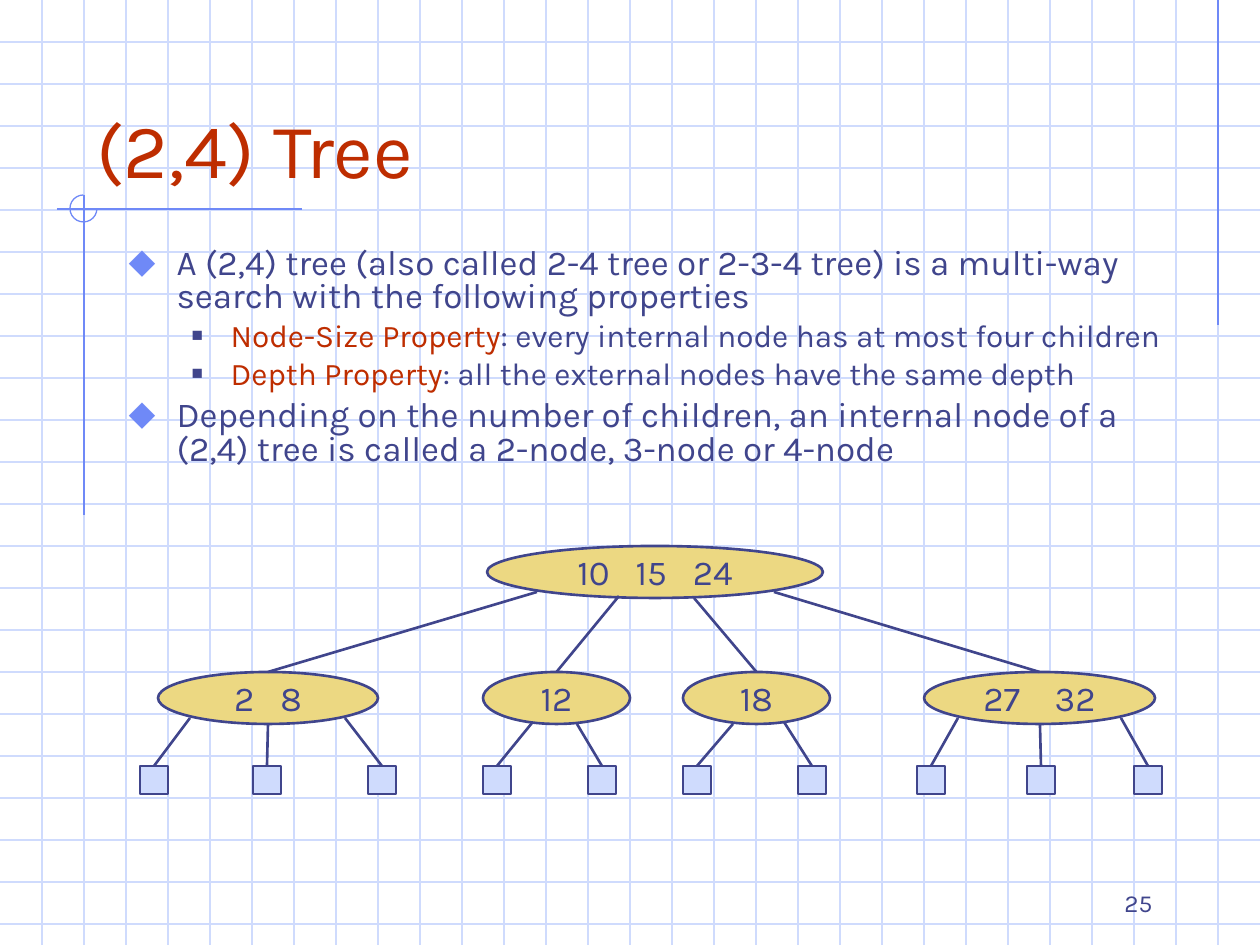
from dataclasses import dataclass

from lxml import etree
from pptx import Presentation
from pptx.dml.color import RGBColor
from pptx.enum.shapes import MSO_CONNECTOR, MSO_SHAPE
from pptx.enum.text import MSO_ANCHOR, MSO_AUTO_SIZE, PP_ALIGN
from pptx.oxml.ns import qn
from pptx.util import Emu, Pt

STRAIGHT = MSO_CONNECTOR.STRAIGHT
OVAL, RECTANGLE, ARC = MSO_SHAPE.OVAL, MSO_SHAPE.RECTANGLE, MSO_SHAPE.ARC
TOP, MIDDLE, BOTTOM = MSO_ANCHOR.TOP, MSO_ANCHOR.MIDDLE, MSO_ANCHOR.BOTTOM
LEFT, CENTER, RIGHT = PP_ALIGN.LEFT, PP_ALIGN.CENTER, PP_ALIGN.RIGHT
NO_AUTOFIT = MSO_AUTO_SIZE.NONE

INK = RGBColor(0x40, 0x45, 0x8C)
RED = RGBColor(0xBE, 0x2D, 0x00)
ACCENT = RGBColor(0x6F, 0x89, 0xF7)
PALE = RGBColor(0xCF, 0xDB, 0xFD)
GOLD = RGBColor(0xEC, 0xD8, 0x82)

FONT = "Karla"
PX_PER_INCH = 126
WIDTH, HEIGHT, GRID_STEP = 1260, 945, 42
NODE_HEIGHT, ROOT_TOP, CHILD_TOP = 52, 546, 672
LEAF_TOP, LEAF_SIZE = 766, 28
TOP_SIDE = 0


@dataclass(frozen=True)
class BulletStyle:
    level: int
    size: int
    margin: int
    hang: int
    space_before: float
    character: str
    color: RGBColor
    percent: int


@dataclass(frozen=True)
class Leaf:
    left: int
    stem: tuple[int, int]


@dataclass(frozen=True)
class Node:
    left: int
    width: int
    keys: tuple[str, ...]
    stem: tuple[int, int]
    leaves: tuple[Leaf, ...]
    key_gap: int = 10


MAIN = BulletStyle(0, 20, 48, 48, 5, "⬥", ACCENT, 110)
SUB = BulletStyle(1, 18, 102, 39, 4.5, "■", INK, 60)

BULLETS = (
    (MAIN, (("A (2,4) tree (also called 2-4 tree or 2-3-4 tree) is a multi-way "
             "search with the following properties", INK),)),
    (SUB, (("Node-Size Property", RED),
           (": every internal node has at most four children", INK))),
    (SUB, (("Depth Property", RED),
           (": all the external nodes have the same depth", INK))),
    (MAIN, (("Depending on the number of children, an internal node of a (2,4) "
             "tree is called a 2-node, 3-node or 4-node", INK),)),
)

ROOT_LEFT, ROOT_WIDTH, ROOT_KEYS = 487, 336, ("10", "15", "24")
CHILDREN = (
    Node(158, 220, ("2", "8"), (537, 592),
         (Leaf(140, (190, 718)), Leaf(253, (268, 725)), Leaf(368, (345, 718)))),
    Node(483, 147, ("12",), (619, 596),
         (Leaf(483, (532, 723)), Leaf(588, (577, 724)))),
    Node(683, 147, ("18",), (694, 598),
         (Leaf(683, (733, 724)), Leaf(798, (784, 722)))),
    Node(924, 231, ("27", "32"), (774, 592),
         (Leaf(917, (958, 718)), Leaf(1027, (1040, 725)), Leaf(1134, (1121, 718))),
         key_gap=15),
)


def px(length: int) -> Emu:
    """Turn pixels into EMU."""
    return Emu(round(length * 914400 / PX_PER_INCH))


def write(paragraph, text: str, *, size: int, color: RGBColor = INK, spacing: int = 0) -> None:
    """Append a formatted run, with optional letter spacing in points."""
    run = paragraph.add_run()
    run.text = text
    run.font.name = FONT
    run.font.size = Pt(size)
    run.font.color.rgb = color
    if spacing:
        run._r.get_or_add_rPr().set("spc", str(spacing * 100))


def place(shape, left: int, top: int, width: int, height: int, anchor: MSO_ANCHOR) -> None:
    """Position a text shape and fix its frame settings."""
    shape.left, shape.top, shape.width, shape.height = map(px, (left, top, width, height))
    frame = shape.text_frame
    frame.word_wrap = True
    frame.auto_size = NO_AUTOFIT
    frame.vertical_anchor = anchor


def add_line(slide, start: tuple[int, int], end: tuple[int, int], color: RGBColor, width: float):
    """Draw a straight connector without a shadow."""
    line = slide.shapes.add_connector(STRAIGHT, *map(px, start + end))
    line.line.color.rgb = color
    line.line.width = Pt(width)
    etree.SubElement(line._element.spPr, qn("a:effectLst"))
    return line


def add_box(slide, kind: MSO_SHAPE, left: int, top: int, width: int, height: int, fill: RGBColor):
    """Draw a filled and outlined preset shape."""
    shape = slide.shapes.add_shape(kind, *map(px, (left, top, width, height)))
    shape.shadow.inherit = False
    shape.fill.solid()
    shape.fill.fore_color.rgb = fill
    shape.line.color.rgb = INK
    shape.line.width = Pt(1.5)
    return shape


def add_node(slide, left: int, top: int, width: int, keys: tuple[str, ...], key_gap: int = 10):
    """Draw a tree node with evenly spaced keys."""
    shape = add_box(slide, OVAL, left, top, width, NODE_HEIGHT, GOLD)
    frame = shape.text_frame
    frame.word_wrap = False
    frame.vertical_anchor = MIDDLE
    paragraph = frame.paragraphs[0]
    paragraph.alignment = CENTER
    for index, key in enumerate(keys):
        if index:
            write(paragraph, " ", size=20, spacing=key_gap)
        write(paragraph, key, size=20)
    return shape


def add_stem(slide, stem: tuple[int, int], shape) -> None:
    """Join a point on a parent node to the top of a child shape."""
    add_line(slide, stem, stem, INK, 1.5).end_connect(shape, TOP_SIDE)


def add_background(slide) -> None:
    """Draw the grid and the accent lines."""
    for y in range(GRID_STEP, HEIGHT, GRID_STEP):
        add_line(slide, (0, y), (WIDTH, y), PALE, 0.75)
    for x in range(GRID_STEP, WIDTH, GRID_STEP):
        add_line(slide, (x, 0), (x, HEIGHT), PALE, 0.75)
    for start, end in (((1218, 0), (1218, 325)), ((57, 209), (302, 209)), ((84, 195), (84, 515))):
        add_line(slide, start, end, ACCENT, 0.75)
    arc = slide.shapes.add_shape(ARC, *map(px, (70, 195, 27, 27)))
    arc.shadow.inherit = False
    arc.adjustments[0], arc.adjustments[1] = 0, 162
    arc.fill.background()
    arc.line.color.rgb = ACCENT
    arc.line.width = Pt(0.75)


def format_bullet(paragraph, style: BulletStyle) -> None:
    """Apply the level, indent and bullet of a style."""
    paragraph.level = style.level
    paragraph.line_spacing = 0.8
    paragraph.space_before = Pt(style.space_before)
    properties = paragraph._p.get_or_add_pPr()
    properties.set("marL", str(px(style.margin)))
    properties.set("indent", str(px(-style.hang)))
    bullet_color = etree.SubElement(properties, qn("a:buClr"))
    etree.SubElement(bullet_color, qn("a:srgbClr"), val=str(style.color))
    etree.SubElement(properties, qn("a:buSzPct"), val=str(style.percent * 1000))
    etree.SubElement(properties, qn("a:buChar"), char=style.character)


def add_text(slide) -> None:
    """Fill the title, the bullet list and the page number."""
    title, body = slide.shapes.title, slide.placeholders[1]
    for placeholder in (title, body):
        slide.shapes._spTree.append(placeholder._element)
    place(title, 84, 42, 1071, 158, BOTTOM)
    title.text_frame.paragraphs[0].alignment = LEFT
    write(title.text_frame.paragraphs[0], "(2,4) Tree", size=44, color=RED)

    place(body, 116, 242, 1071, 273, TOP)
    for index, (style, runs) in enumerate(BULLETS):
        paragraph = body.text_frame.add_paragraph() if index else body.text_frame.paragraphs[0]
        format_bullet(paragraph, style)
        if index == 0:
            paragraph.space_before = Pt(0)
        for text, color in runs:
            write(paragraph, text, size=style.size, color=color)

    number = slide.shapes.add_textbox(0, 0, 0, 0)
    place(number, 903, 861, 262, 63, BOTTOM)
    number.text_frame.paragraphs[0].alignment = RIGHT
    write(number.text_frame.paragraphs[0], "25", size=14)


def add_tree(slide) -> None:
    """Draw the root, its children and their leaves."""
    add_node(slide, ROOT_LEFT, ROOT_TOP, ROOT_WIDTH, ROOT_KEYS)
    for child in CHILDREN:
        node = add_node(slide, child.left, CHILD_TOP, child.width, child.keys, child.key_gap)
        add_stem(slide, child.stem, node)
        for leaf in child.leaves:
            box = add_box(slide, RECTANGLE, leaf.left, LEAF_TOP, LEAF_SIZE, LEAF_SIZE, PALE)
            add_stem(slide, leaf.stem, box)


def main() -> None:
    """Build and save the slide."""
    presentation = Presentation()
    presentation.slide_width, presentation.slide_height = px(WIDTH), px(HEIGHT)
    slide = presentation.slides.add_slide(presentation.slide_layouts[1])
    add_background(slide)
    add_text(slide)
    add_tree(slide)
    presentation.save("out.pptx")


if __name__ == "__main__":
    main()
